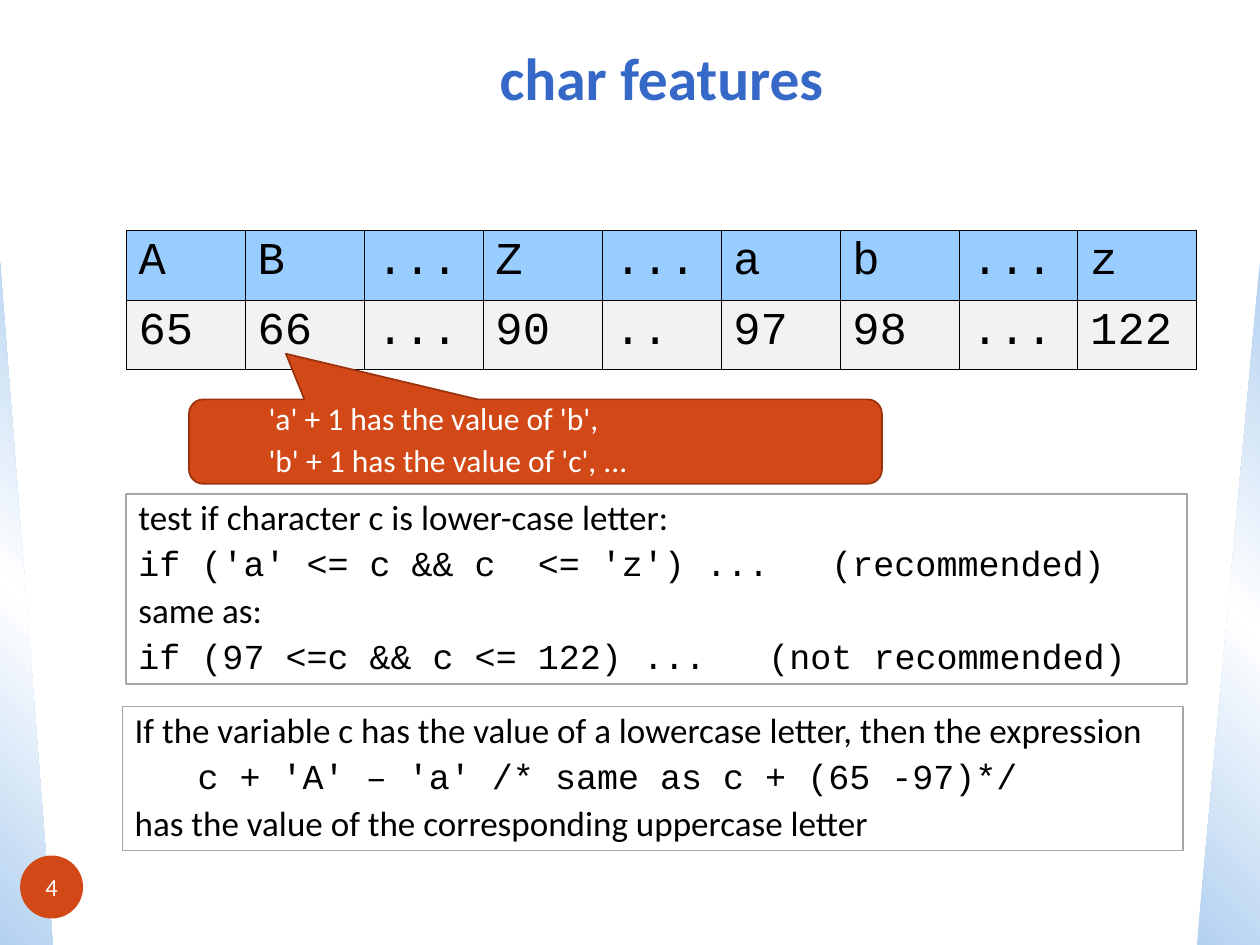
from pptx import Presentation
from pptx.dml.color import RGBColor as RGB
from pptx.enum.shapes import MSO_SHAPE as Kind
from pptx.enum.text import MSO_ANCHOR as Anchor, PP_ALIGN as Align
from pptx.oxml import parse_xml
from pptx.oxml.ns import nsdecls
from pptx.util import Inches, Pt

# Content
TITLE = "char features"
PAGE = "4"
CODES = [
    ("A", "B", "...", "Z", "...", "a", "b", "...", "z"),
    ("65", "66", "...", "90", "..", "97", "98", "...", "122"),
]
NOTE = ["'a' + 1 has the value of 'b',", "'b' + 1 has the value of 'c', ..."]
SANS, MONO = "Calibri", "Courier New"
# Each box: position, then lines of (text, font, indent)
BOXES = [
    ((1, 3.92, 8.42, 1.51), [
        ("test if character c is lower-case letter:", SANS, 0),
        ("if ('a' <= c && c  <= 'z') ...\t(recommended)", MONO, 0),
        ("same as:", SANS, 0),
        ("if (97 <=c && c <= 122) ...\t(not recommended)", MONO, 0),
    ]),
    ((0.97, 5.61, 8.42, 1.14), [
        ("If the variable c has the value of a lowercase letter, "
         "then the expression", SANS, 0),
        ("c + 'A' – 'a' /* same as c + (65 -97)*/", MONO, 0.5),
        ("has the value of the corresponding uppercase letter", SANS, 0),
    ]),
]
REMARK = 5.35  # tab stop of the remarks in brackets
COLORS = {
    "title": "3568C7", "accent": "D34817", "edge": "9B320E",
    "head": "99CCFF", "cell": "F2F2F2", "frame": "A6A6A6",
    "side": "B3D1F0", "text": "000000", "white": "FFFFFF",
}


def color(name):
    return RGB.from_string(COLORS[name])


def write(para, text, size, font, tone, bold=False):
    run = para.add_run()
    run.text = text
    run.font.size, run.font.name, run.font.bold = Pt(size), font, bold
    run.font.color.rgb = color(tone)


def space(para, lines, before):
    para.line_spacing, para.space_before = lines, Pt(before)


def add(slide, kind, place, fill=None, line=None, width=0.75):
    shape = slide.shapes.add_shape(kind, *map(Inches, place))
    shape.shadow.inherit = False
    if fill:
        shape.fill.solid()
        shape.fill.fore_color.rgb = color(fill)
    else:
        shape.fill.background()
    if line:
        shape.line.color.rgb = color(line)
        shape.line.width = Pt(width)
    else:
        shape.line.fill.background()
    return shape


def fill_text(shape, rows, size, tone, before):
    frame = shape.text_frame
    frame.word_wrap = True
    for i, (text, font, indent) in enumerate(rows):
        para = frame.add_paragraph() if i else frame.paragraphs[0]
        para.alignment = Align.LEFT
        space(para, 0.9, before)
        props = para._p.get_or_add_pPr()
        props.set("marL", str(Inches(indent)))
        props.set("indent", "0")
        if "\t" in text:
            props.append(parse_xml(
                f'<a:tabLst {nsdecls("a")}>'
                f'<a:tab pos="{Inches(REMARK)}" algn="l"/></a:tabLst>'))
        write(para, text, size, font, tone)


def shade(shape, angle):
    stops = "".join(
        f'<a:gs pos="{pos}000"><a:srgbClr val="{COLORS[name]}"/></a:gs>'
        for pos, name in ((0, "side"), (50, "white"), (100, "side")))
    old = shape._element.spPr.find(
        "{http://schemas.openxmlformats.org/drawingml/2006/main}noFill")
    old.getparent().replace(old, parse_xml(
        f'<a:gradFill {nsdecls("a")} rotWithShape="1"><a:gsLst>{stops}'
        f'</a:gsLst><a:lin ang="{angle * 60000}" scaled="0"/></a:gradFill>'))


def border(cell):
    props = cell._tc.get_or_add_tcPr()
    for i, side in enumerate("LRTB"):
        props.insert(i, parse_xml(
            f'<a:ln{side} {nsdecls("a")} w="{Pt(0.25)}"><a:solidFill>'
            f'<a:srgbClr val="{COLORS["text"]}"/></a:solidFill></a:ln{side}>'))


def add_codes(slide):
    rows, cols = len(CODES), len(CODES[0])
    place = map(Inches, (1, 1.83, 8.5, 1.1))
    table = slide.shapes.add_table(rows, cols, *place).table
    for col in table.columns:
        col.width = Inches(8.5 / cols)
    for r, (row, fill) in enumerate(zip(CODES, ("head", "cell"))):
        for c, text in enumerate(row):
            cell = table.cell(r, c)
            cell.fill.solid()
            cell.fill.fore_color.rgb = color(fill)
            border(cell)
            para = cell.text_frame.paragraphs[0]
            space(para, 0.92, 6.5)
            write(para, text, 26, MONO, "text")


def main():
    deck = Presentation()
    deck.slide_width, deck.slide_height = Inches(10), Inches(7.5)
    slide = deck.slides.add_slide(deck.slide_layouts[5])

    # Side triangles
    for left, width, angle in ((0, 0.42, 315), (9.5, 0.5, 45)):
        side = add(slide, Kind.RIGHT_TRIANGLE, (left, 2.08, width, 5.42))
        shade(side, angle)
        if left:
            side._element.spPr.xfrm.set("flipH", "1")

    # Title
    title = slide.shapes.title
    title.left, title.top, title.width, title.height = map(
        Inches, (1, 0.32, 8.5, 0.58))
    title.text_frame.vertical_anchor = Anchor.MIDDLE
    para = title.text_frame.paragraphs[0]
    para.alignment = Align.CENTER
    write(para, TITLE, 34, SANS, "title", True)

    # Page number
    badge = add(slide, Kind.OVAL, (0.16, 6.79, 0.5, 0.5), "accent")
    frame = badge.text_frame
    frame.margin_left = frame.margin_right = 0
    frame.margin_top = frame.margin_bottom = 0
    frame.word_wrap = False
    frame.paragraphs[0].alignment = Align.CENTER
    write(frame.paragraphs[0], PAGE, 14, SANS, "white")

    # Table of codes and its callout
    add_codes(slide)
    note = add(slide, Kind.ROUNDED_RECTANGULAR_CALLOUT,
               (1.5, 3.17, 5.5, 0.67), "accent", "edge", 1)
    for i, value in enumerate((-0.358, -1.038, 0.167)):
        note.adjustments[i] = round(value, 2)
    note.text_frame.vertical_anchor = Anchor.MIDDLE
    fill_text(note, [(text, SANS, 0.5) for text in NOTE], 18, "white", 4.5)

    # Framed text boxes
    for place, rows in BOXES:
        box = add(slide, Kind.RECTANGLE, place, line="frame")
        box.text_frame.vertical_anchor = Anchor.TOP
        fill_text(box, rows, 20, "text", 5)

    deck.save("out.pptx")


if __name__ == "__main__":
    main()
